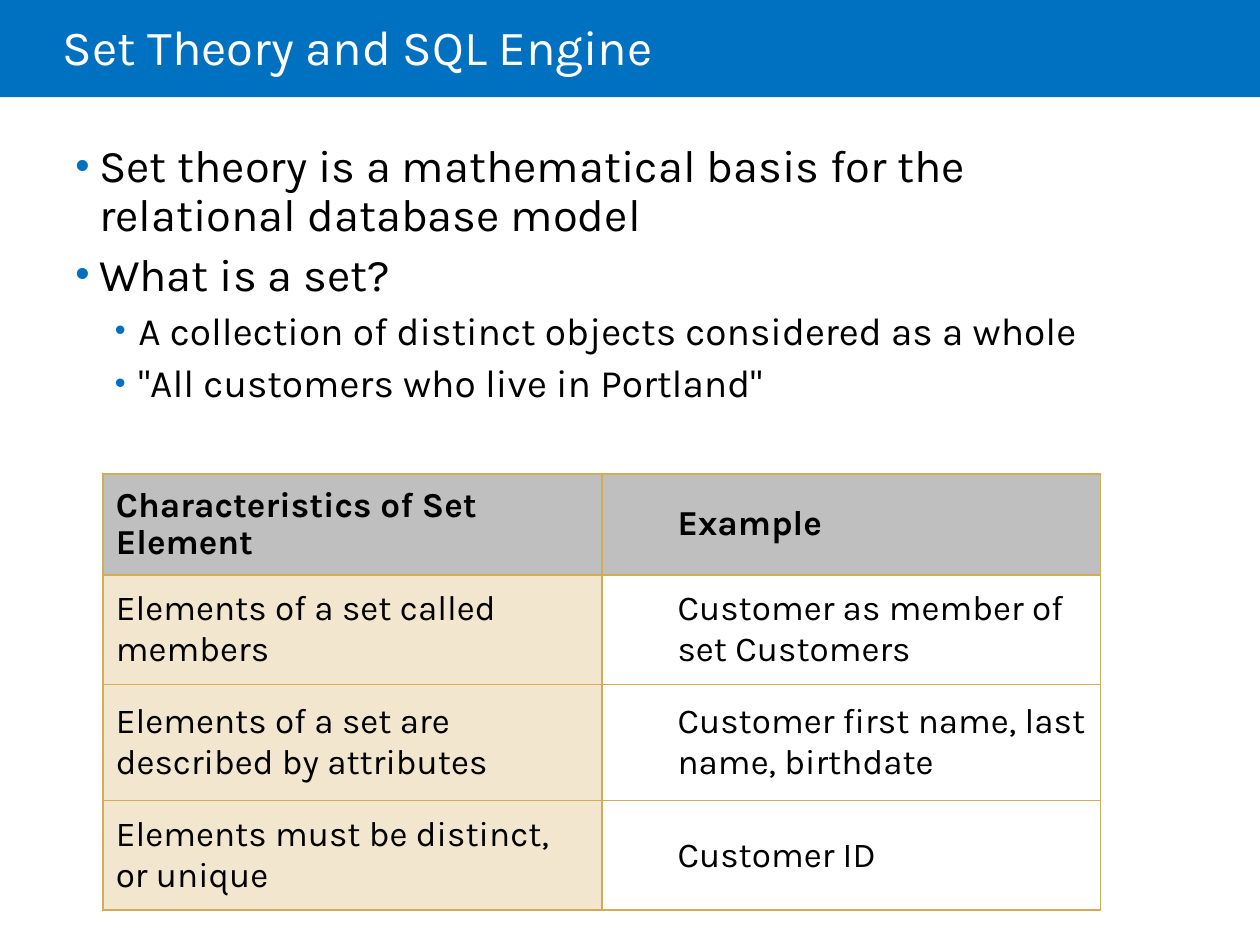
from dataclasses import dataclass

import lxml.etree
import pptx
import pptx.dml.color
import pptx.enum.shapes
import pptx.enum.text
import pptx.oxml.ns
import pptx.util

Pt = pptx.util.Pt
qn = pptx.oxml.ns.qn
MIDDLE = pptx.enum.text.MSO_ANCHOR.MIDDLE

FONT = "Karla"
BLUE, GOLD, SAND = "0070C0", "D2AC56", "F2E7CE"
GRAY, WHITE, BLACK = "BFBFBF", "FFFFFF", "000000"


@dataclass
class Bullet:
    text: str
    level: int = 0


@dataclass
class Row:
    height: float
    element: str
    example: str
    header: bool = False


BULLETS = [
    Bullet("Set theory is a mathematical basis for the relational database model"),
    Bullet("What is a set?"),
    Bullet("A collection of distinct objects considered as a whole", 1),
    Bullet('"All customers who live in Portland"', 1),
]
ROWS = [
    Row(49, "Characteristics of Set Element", "Example", True),
    Row(58.5, "Elements of a set called members", "Customer as member of set Customers"),
    Row(66.5, "Elements of a set are described by attributes",
        "Customer first name, last name, birthdate"),
    Row(59, "Elements must be distinct, or unique", "Customer ID"),
]


def rgb(value: str) -> pptx.dml.color.RGBColor:
    return pptx.dml.color.RGBColor.from_string(value)


def set_fill(target, color: str) -> None:
    target.fill.solid()
    target.fill.fore_color.rgb = rgb(color)


def set_font(p, size: float, color: str, bold: bool = False) -> None:
    p.font.name = FONT
    p.font.size = Pt(size)
    p.font.bold = bold
    p.font.color.rgb = rgb(color)


def set_indent(p, left: float, first: float = 0):
    pPr = p._p.get_or_add_pPr()
    pPr.set("marL", str(Pt(left)))
    pPr.set("indent", str(Pt(first)))
    return pPr


def add_child(parent, tag: str, **attributes: str):
    return lxml.etree.SubElement(parent, qn(tag), attributes)


def add_title(slide, text: str) -> None:
    sp = slide.shapes.add_shape(
        pptx.enum.shapes.MSO_SHAPE.RECTANGLE, 0, 0, Pt(720), Pt(55.5))
    sp.shadow.inherit = False
    set_fill(sp, BLUE)
    sp.line.fill.background()
    tf = slide.shapes.add_textbox(Pt(36), 0, Pt(612), Pt(58)).text_frame
    tf.word_wrap = True
    tf.vertical_anchor = MIDDLE
    tf.margin_left = 0
    p = tf.paragraphs[0]
    p.text = text
    p.line_spacing = 0.85
    set_font(p, 28, WHITE)


def add_bullets(slide, bullets: list[Bullet]) -> None:
    tf = slide.shapes.add_textbox(Pt(36), Pt(78.5), Pt(610.5), Pt(165.5)).text_frame
    tf.word_wrap = True
    for i, bullet in enumerate(bullets):
        p = tf.add_paragraph() if i else tf.paragraphs[0]
        p.text = bullet.text
        p.level = bullet.level
        p.line_spacing = 0.9
        p.space_before = Pt(6)
        left, size, percent = [(13.5, 25.9, 90), (36, 22.2, 80)][bullet.level]
        pPr = set_indent(p, left, -13.5)
        add_child(add_child(pPr, "a:buClr"), "a:srgbClr", val=BLUE)
        add_child(pPr, "a:buSzPct", val=str(percent * 1000))
        add_child(pPr, "a:buFont", typeface="Arial")
        add_child(pPr, "a:buChar", char="•")
        set_font(p, size, BLACK)


def set_borders(cell, color: str) -> None:
    tcPr = cell._tc.get_or_add_tcPr()
    for i, side in enumerate(("a:lnL", "a:lnR", "a:lnT", "a:lnB")):
        ln = lxml.etree.Element(qn(side), {"w": str(Pt(1))})
        add_child(add_child(ln, "a:solidFill"), "a:srgbClr", val=color)
        tcPr.insert(i, ln)


def fill_cell(cell, text: str, color: str, header: bool, indent: float) -> None:
    cell.vertical_anchor = MIDDLE
    cell.margin_left = cell.margin_right = Pt(7.2)
    cell.margin_top = cell.margin_bottom = Pt(7.2)
    set_fill(cell, color)
    set_borders(cell, GOLD)
    p = cell.text_frame.paragraphs[0]
    p.text = text
    if header:
        p.line_spacing = 0.9
    if indent:
        p.level = 1
    set_indent(p, indent)
    set_font(p, 20, BLACK, header)


def add_set_table(slide, rows: list[Row]) -> None:
    height = sum(row.height for row in rows)
    table = slide.shapes.add_table(
        len(rows), 2, Pt(59), Pt(271), Pt(570), Pt(height)).table
    table.horz_banding = False
    for column in table.columns:
        column.width = Pt(285)
    for i, row in enumerate(rows):
        table.rows[i].height = Pt(row.height)
        fill_cell(table.cell(i, 0), row.element, GRAY if row.header else SAND, row.header, 0)
        fill_cell(table.cell(i, 1), row.example, GRAY if row.header else WHITE, row.header, 36)


def main() -> None:
    prs = pptx.Presentation()
    prs.slide_width, prs.slide_height = Pt(720), Pt(540)
    slide = prs.slides.add_slide(prs.slide_layouts[6])
    add_title(slide, "Set Theory and SQL Engine")
    add_bullets(slide, BULLETS)
    add_set_table(slide, ROWS)
    prs.save("out.pptx")


if __name__ == "__main__":
    main()
